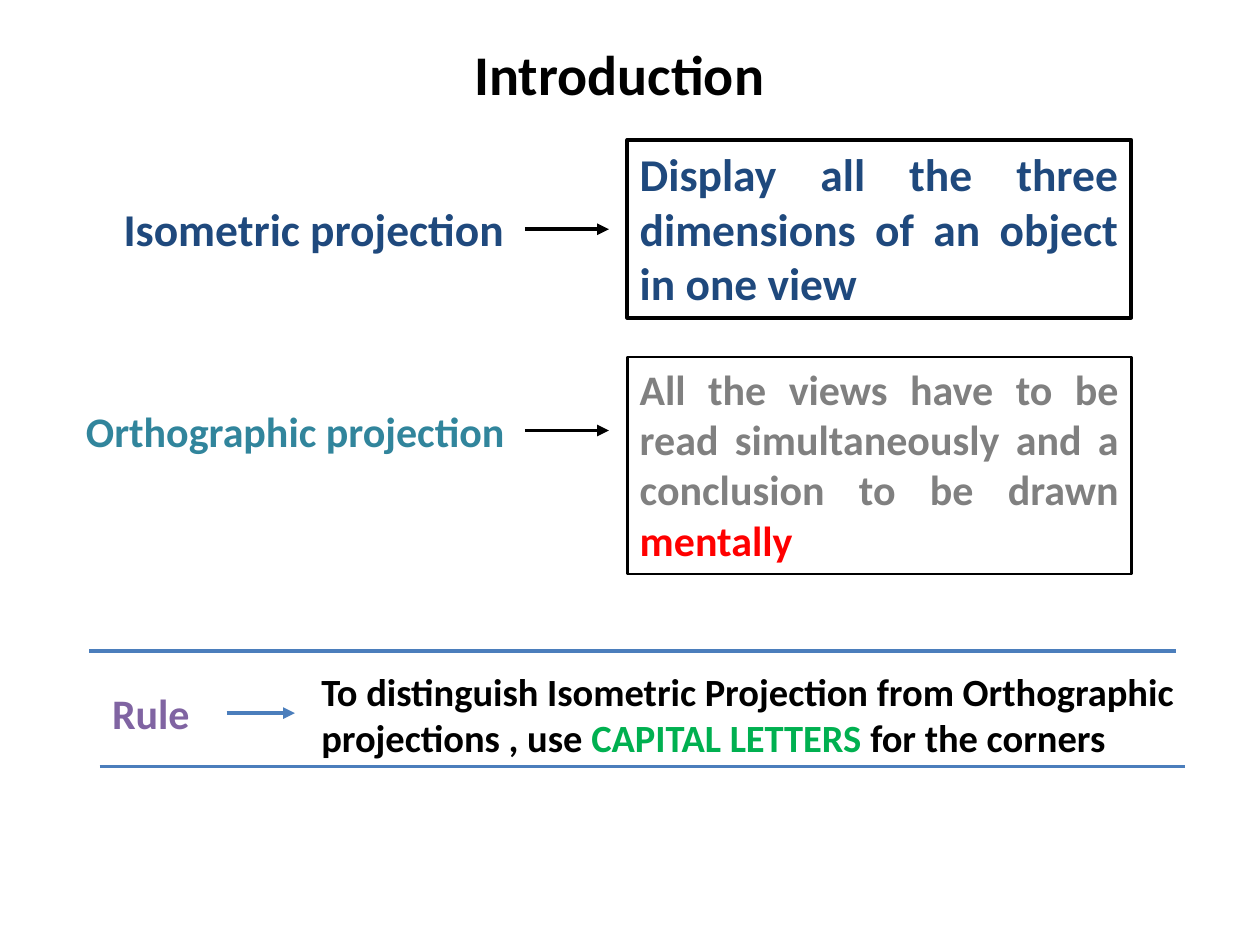
import dataclasses
import typing

import pptx
import pptx.dml.color
import pptx.enum.shapes
import pptx.enum.text
import pptx.oxml.ns
import pptx.util
from lxml import etree

Pt = pptx.util.Pt
Align = pptx.enum.text.PP_ALIGN
Anchor = pptx.enum.text.MSO_ANCHOR
Fit = pptx.enum.text.MSO_AUTO_SIZE
BLACK = "000000"
BLUE = "4B7EBC"

Runs = list[tuple[str, str]]
Area = tuple[float, float, float, float]


@dataclasses.dataclass
class Pair:
    label: str
    tint: str
    size: float
    spot: Area
    runs: Runs
    box: Area
    edge: float


@dataclasses.dataclass
class Rule:
    left: float
    right: float
    y: float


PAIRS = [
    Pair("Orthographic projection", "31859C", 24, (42, 228, 258, 36),
         [("All the views have to be read simultaneously and a conclusion to be drawn ", "808080"),
          ("mentally", "FF0000")],
         (358.5, 204, 288, 124), 1.5),
    Pair("Isometric projection", "1F497D", 26, (63.5, 111.5, 236.5, 39),
         [("Display all the three dimensions of an object in one view", "1F497D")],
         (358.5, 80, 288, 101.5), 2.25),
]
RULES = [Rule(51, 672, 372), Rule(57, 677, 438)]


def color(code: str) -> pptx.dml.color.RGBColor:
    return pptx.dml.color.RGBColor.from_string(code)


def write(shape: typing.Any, runs: Runs, *, size: float, align: Align = Align.LEFT,
          anchor: Anchor = Anchor.TOP, fit: Fit = Fit.SHAPE_TO_FIT_TEXT) -> None:
    frame = shape.text_frame
    frame.word_wrap = True
    frame.auto_size = fit
    frame.vertical_anchor = anchor
    para = frame.paragraphs[0]
    para.alignment = align
    for text, tint in runs:
        run = para.add_run()
        run.text = text
        run.font.name = "Calibri"
        run.font.size = Pt(size)
        run.font.bold = True
        run.font.color.rgb = color(tint)


def label(slide: typing.Any, area: Area, runs: Runs, **style: typing.Any) -> typing.Any:
    shape = slide.shapes.add_textbox(*map(Pt, area))
    write(shape, runs, **style)
    return shape


def frame(slide: typing.Any, pair: Pair) -> None:
    kind = pptx.enum.shapes.MSO_SHAPE.RECTANGLE
    shape = slide.shapes.add_shape(kind, *map(Pt, pair.box))
    shape.shadow.inherit = False
    shape.fill.background()
    shape.line.color.rgb = color(BLACK)
    shape.line.width = Pt(pair.edge)
    write(shape, pair.runs, size=pair.size, align=Align.JUSTIFY)


def line(slide: typing.Any, left: float, right: float, y: float, tint: str,
         arrow: bool = False) -> typing.Any:
    kind = pptx.enum.shapes.MSO_CONNECTOR.STRAIGHT
    link = slide.shapes.add_connector(kind, Pt(left), Pt(y), Pt(right), Pt(y))
    link.line.color.rgb = color(tint)
    link.line.width = Pt(2.25)
    qn = pptx.oxml.ns.qn
    props = link.element.spPr
    if arrow:
        etree.SubElement(props.find(qn("a:ln")), qn("a:tailEnd"), type="triangle")
    etree.SubElement(props, qn("a:effectLst"))
    return link


def join(slide: typing.Any, pair: Pair) -> None:
    left, top, width, height = pair.spot
    name = label(slide, pair.spot, [(pair.label, pair.tint)], size=pair.size)
    link = line(slide, left + width, 348, top + height / 2, BLACK, arrow=True)
    link.begin_connect(name, 3)
    frame(slide, pair)


def main() -> None:
    deck = pptx.Presentation()
    deck.slide_width = Pt(720)
    deck.slide_height = Pt(540)
    slide = deck.slides.add_slide(deck.slide_layouts[6])

    label(slide, (48, 0, 612, 84), [("Introduction", BLACK)], size=32,
          align=Align.CENTER, anchor=Anchor.MIDDLE, fit=Fit.NONE)
    for pair in PAIRS:
        join(slide, pair)

    label(slide, (57, 389.5, 78, 36), [("Rule", "8064A2")], size=24)
    line(slide, 129.5, 168.5, 407.5, BLUE, arrow=True)
    label(slide, (176.5, 378, 510, 60.5), [
        ("To distinguish Isometric Projection from Orthographic projections , use ", BLACK),
        ("CAPITAL LETTERS ", "00B050"),
        ("for the corners", BLACK),
    ], size=22)
    for rule in RULES:
        line(slide, rule.left, rule.right, rule.y, BLUE)
    deck.save("out.pptx")


if __name__ == "__main__":
    main()
